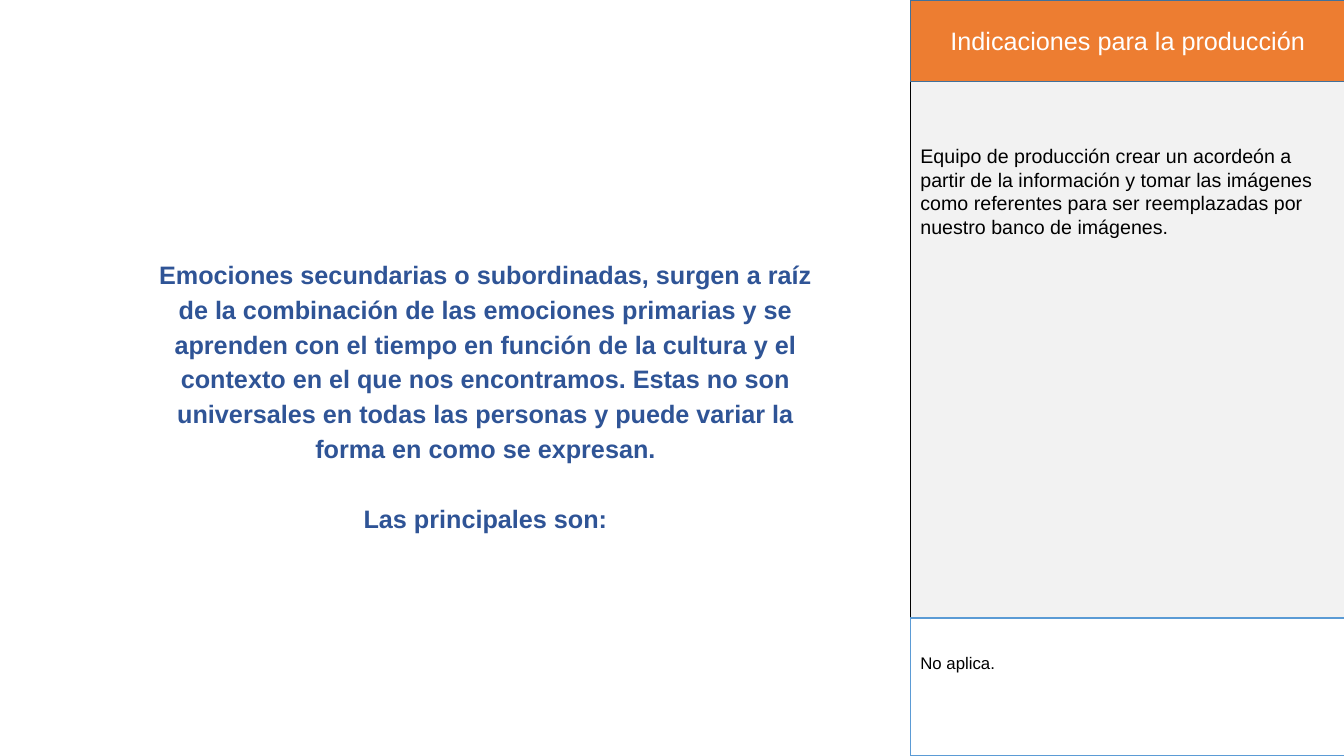
from pptx import Presentation
from pptx.dml.color import RGBColor
from pptx.enum import shapes, text
from pptx.util import Inches, Pt

COLORS = {"panel": "F2F2F2", "orange": "ED7D31", "steel": "42719B", "sky": "5B9BD5",
          "navy": "2F5496", "black": "000000", "white": "FFFFFF"}
LEFT, CENTER = text.PP_ALIGN.LEFT, text.PP_ALIGN.CENTER
TOP, MIDDLE = text.MSO_ANCHOR.TOP, text.MSO_ANCHOR.MIDDLE

SIDEBAR_LEFT, SIDEBAR_WIDTH = 9.03, 4.31
PAGE_HEIGHT, HEADER_HEIGHT, FOOTER_HEIGHT = 7.5, 0.81, 1.37

TITLE = ["Indicaciones para la producción"]
INSTRUCTIONS = ["Equipo de producción crear un acordeón a partir de la información y tomar las "
                "imágenes como referentes para ser reemplazadas por nuestro banco de imágenes."]
NOTE = ["No aplica."]
EMOTIONS = ["Emociones secundarias o subordinadas, surgen a raíz de la combinación de las "
            "emociones primarias y se aprenden con el tiempo en función de la cultura y el "
            "contexto en el que nos encontramos. Estas no son universales en todas las personas "
            "y puede variar la forma en como se expresan.",
            "Las principales son:"]


def add_panel(page, top, height, fill, line):
    """Add an outlined rectangle across the sidebar."""
    panel = page.shapes.add_shape(shapes.MSO_SHAPE.RECTANGLE, Inches(SIDEBAR_LEFT), Inches(top),
                                  Inches(SIDEBAR_WIDTH), Inches(height))
    panel.shadow.inherit = False
    panel.fill.solid()
    panel.fill.fore_color.rgb = RGBColor.from_string(COLORS[fill])
    panel.line.color.rgb = RGBColor.from_string(COLORS[line])
    panel.line.width = Pt(1)
    return panel


def add_text_box(page, *place):
    return page.shapes.add_textbox(*(Inches(length) for length in place))


def write(box, lines, size, color, align=LEFT, anchor=TOP, inset=0.05, bold=False,
          spacing=1.0, gap=0):
    """Fill a shape with paragraphs; gap is the space in points between them."""
    frame = box.text_frame
    frame_format = {"word_wrap": True, "vertical_anchor": anchor, "margin_top": Inches(inset)}
    for name, value in frame_format.items():
        setattr(frame, name, value)
    for index, line in enumerate(lines):
        para = frame.add_paragraph() if index else frame.paragraphs[0]
        para_format = {"alignment": align, "line_spacing": spacing,
                       "space_before": Pt(gap if index else 0)}
        for name, value in para_format.items():
            setattr(para, name, value)
        span = para.add_run()
        span.text = line
        for name, value in {"name": "Arial", "size": Pt(size), "bold": bold}.items():
            setattr(span.font, name, value)
        span.font.color.rgb = RGBColor.from_string(COLORS[color])


def main():
    deck = Presentation()
    deck.slide_width, deck.slide_height = Inches(13.33), Inches(PAGE_HEIGHT)
    page = deck.slides.add_slide(deck.slide_layouts[6])

    add_panel(page, 0, PAGE_HEIGHT, "panel", "black")
    instructions = add_text_box(page, SIDEBAR_LEFT, 1.38, SIDEBAR_WIDTH, 4.61)
    write(instructions, INSTRUCTIONS, 14, "black")

    header = add_panel(page, 0, HEADER_HEIGHT, "orange", "steel")
    write(header, TITLE, 18, "white", align=CENTER, anchor=MIDDLE)

    footer = add_panel(page, PAGE_HEIGHT - FOOTER_HEIGHT, FOOTER_HEIGHT, "white", "sky")
    write(footer, NOTE, 12, "black", inset=0.35)

    emotions = add_text_box(page, 1.41, 2.48, 6.81, 3.24)
    write(emotions, EMOTIONS, 18, "navy", align=CENTER, bold=True, spacing=1.15, gap=25)

    deck.save("out.pptx")


if __name__ == "__main__":
    main()
